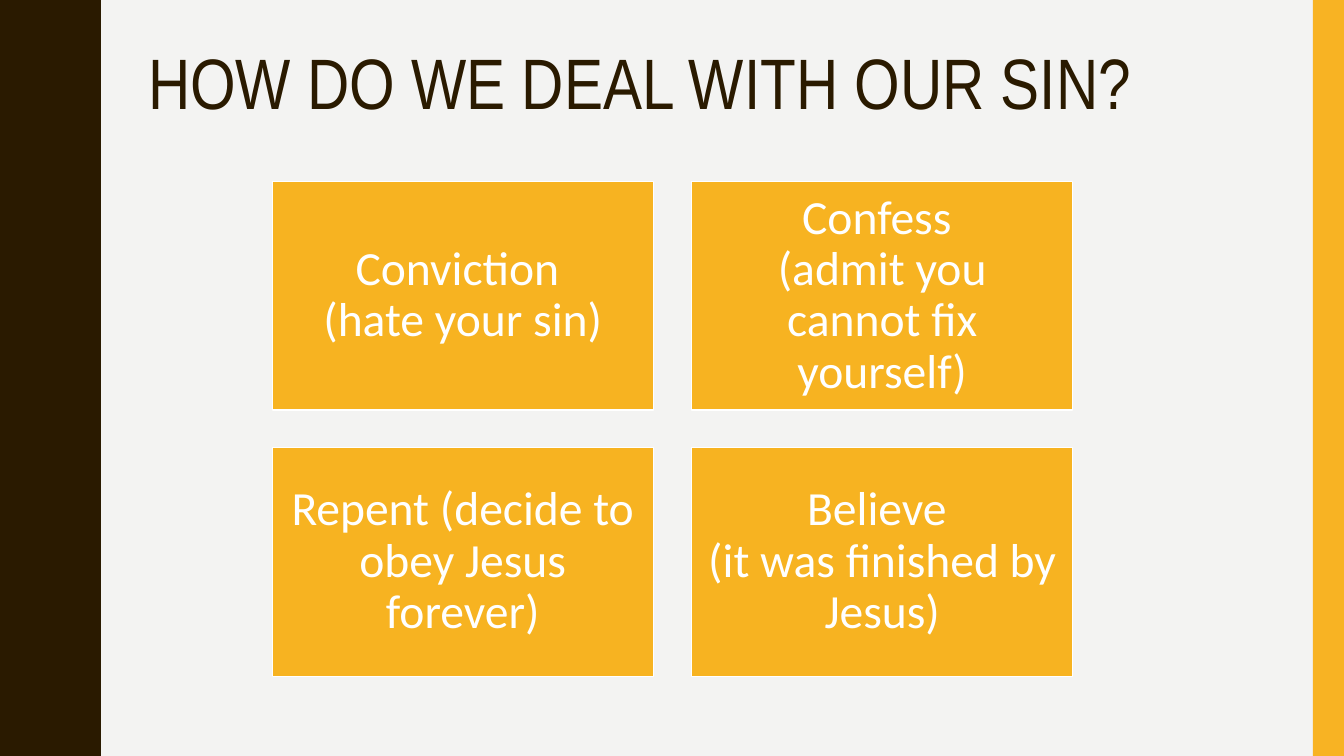
"""Build a slide with a title and a two-by-two grid of steps."""
from pptx import Presentation
from pptx.dml.color import RGBColor
from pptx.enum.shapes import MSO_SHAPE
from pptx.enum.text import MSO_ANCHOR, MSO_AUTO_SIZE, PP_ALIGN
from pptx.util import Inches, Pt

RECT = MSO_SHAPE.RECTANGLE
TOP, MIDDLE = MSO_ANCHOR.TOP, MSO_ANCHOR.MIDDLE
LEFT, CENTER = PP_ALIGN.LEFT, PP_ALIGN.CENTER
NO_FIT = MSO_AUTO_SIZE.NONE

TITLE = "HOW DO WE DEAL WITH OUR SIN?"
STEPS = [
    "Conviction \v(hate your sin)",
    "Confess \v(admit you cannot fix yourself)",
    "Repent (decide to obey Jesus forever)",
    "Believe \v(it was finished by Jesus)",
]
WIDE, HIGH = 13.33, 7.5
BROWN, GOLD, AMBER = "2A1A00", "F8B323", "F7B321"
PALE, WHITE = "F3F3F2", "FFFFFF"

COLS = 2
GRID_X, GRID_Y = 2.7, 1.8
CARD_W, CARD_H = 3.78, 2.27
STEP_X, STEP_Y = 4.16, 2.64
BAR = 0.31

WAVES = 5
PERIOD = HIGH / WAVES
RISE = [
    (0.78, 0), (0.78, 0.07), (0.79, 0.14), (0.8, 0.2), (0.81, 0.25),
    (0.83, 0.29), (0.85, 0.33), (0.87, 0.38), (0.89, 0.42), (0.91, 0.46),
    (0.93, 0.5), (0.95, 0.55), (0.96, 0.61), (0.97, 0.68), (0.97, 0.75),
]


def color(code):
    return RGBColor.from_string(code)


def paint(shape, code, edge=None):
    shape.shadow.inherit = False
    shape.fill.solid()
    shape.fill.fore_color.rgb = color(code)
    if edge:
        shape.line.color.rgb = color(edge)
        shape.line.width = Pt(1)
    else:
        shape.line.fill.background()


def write(shape, text, face, size, code, align, anchor, pad):
    frame = shape.text_frame
    frame.text = text
    frame.word_wrap = True
    frame.auto_size = NO_FIT
    frame.vertical_anchor = anchor
    frame.margin_left = frame.margin_right = Inches(pad[0])
    frame.margin_top = frame.margin_bottom = Inches(pad[1])
    para = frame.paragraphs[0]
    para.alignment = align
    para.line_spacing = 0.9
    para.space_before = Pt(0)
    para.font.name = face
    para.font.size = Pt(size)
    para.font.color.rgb = color(code)


def block(slide, x, y, w, h):
    return slide.shapes.add_shape(
        RECT, Inches(x), Inches(y), Inches(w), Inches(h))


def wave(slide):
    fall = [(x, PERIOD - y) for x, y in reversed(RISE[1:-1])]
    edge = [(x, y + n * PERIOD) for n in range(WAVES) for x, y in RISE + fall]
    pen = slide.shapes.build_freeform(0, 0, scale=Inches(1))
    pen.add_line_segments(edge + [(RISE[0][0], HIGH), (0, HIGH)], close=True)
    paint(pen.convert_to_shape(), BROWN)


def main():
    deck = Presentation()
    deck.slide_width, deck.slide_height = Inches(WIDE), Inches(HIGH)
    slide = deck.slides.add_slide(deck.slide_layouts[5])
    slide.background.fill.solid()
    slide.background.fill.fore_color.rgb = color(PALE)

    wave(slide)
    paint(block(slide, WIDE - BAR, 0, BAR, HIGH), GOLD)

    title = slide.shapes.title
    title.left, title.top = Inches(1.37), Inches(0.42)
    title.width, title.height = Inches(11.13), Inches(1.63)
    write(title, TITLE, "Arial Narrow", 51, BROWN, LEFT, TOP, (0.1, 0.05))

    for i, step in enumerate(STEPS):
        row, col = divmod(i, COLS)
        card = block(slide, GRID_X + col * STEP_X, GRID_Y + row * STEP_Y,
                     CARD_W, CARD_H)
        paint(card, AMBER, WHITE)
        write(card, step, "Calibri", 34, WHITE, CENTER, MIDDLE, (0.14, 0.14))

    deck.save("out.pptx")


if __name__ == "__main__":
    main()
